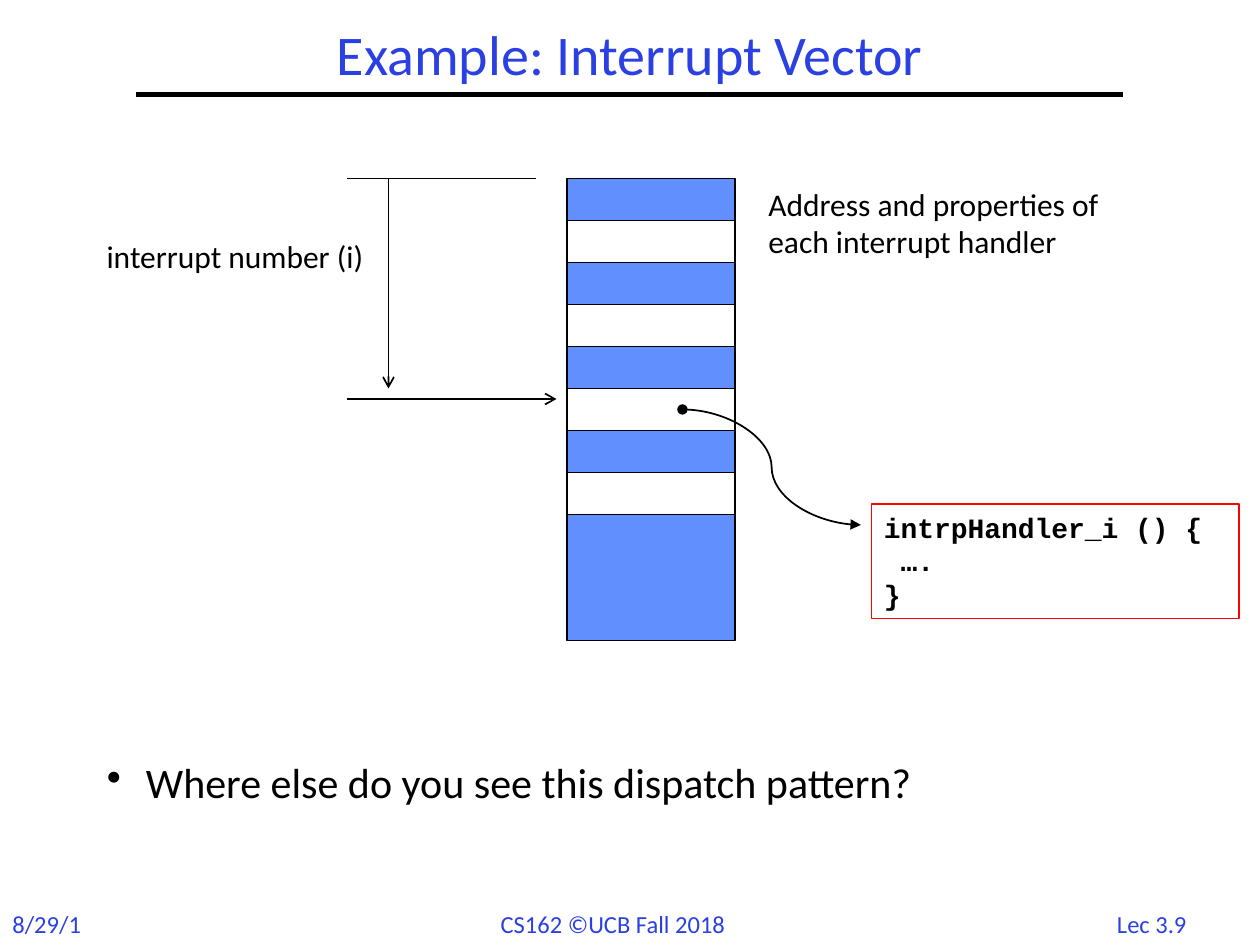
"""Build the interrupt vector slide on a grid of twelve cells to the inch."""
import dataclasses

import lxml.etree
import pptx
import pptx.dml.color
import pptx.enum.shapes
import pptx.enum.text
import pptx.oxml.ns
import pptx.util

ALIGN = pptx.enum.text.PP_ALIGN
ANCHOR = pptx.enum.text.MSO_ANCHOR
CONNECTOR = pptx.enum.shapes.MSO_CONNECTOR


@dataclasses.dataclass(frozen=True)
class Theme:
    """Colours, fonts and type sizes."""
    accent: str = "2A40E2"
    ink: str = "000000"
    entry: str = "618FFD"
    paper: str = "FFFFFF"
    alert: str = "FF0000"
    body_font: str = "Calibri"
    code_font: str = "Courier New"
    title: int = 32
    body: int = 24
    label: int = 18
    code: int = 16
    footer: int = 14


THEME = Theme()


def cells(*counts):
    """Turn grid cells into lengths."""
    return [pptx.util.Inches(count / 12) for count in counts]


def rgb(value):
    """Return a colour from its hex digits."""
    return pptx.dml.color.RGBColor.from_string(value)


def sub(parent, tag, **attrs):
    """Append a drawing element with its attributes."""
    return lxml.etree.SubElement(parent, pptx.oxml.ns.qn(tag), attrs)


def write(sp, lines, size, color=THEME.ink, font=THEME.body_font, bold=False,
          align=ALIGN.LEFT, anchor=ANCHOR.TOP, wrap=True, spacing=None, bullet=None):
    """Write one paragraph for each line into a shape."""
    tf = sp.text_frame
    tf.word_wrap = wrap
    tf.vertical_anchor = anchor
    for i, line in enumerate(lines):
        p = tf.paragraphs[0] if i == 0 else tf.add_paragraph()
        p.alignment = align
        if spacing:
            p.line_spacing = spacing
        if bullet:
            p_pr = p._p.get_or_add_pPr()
            indent = pptx.util.Inches(0.31)
            p_pr.set("marL", str(indent))
            p_pr.set("indent", str(-indent))
            sub(p_pr, "a:buChar", char=bullet)
        r = p.add_run()
        r.text = line
        r.font.name = font
        r.font.size = pptx.util.Pt(size)
        r.font.bold = bold
        r.font.color.rgb = rgb(color)


def add_text(s, box, text, size, **style):
    """Add a text box with one paragraph."""
    sp = s.shapes.add_textbox(*cells(*box))
    write(sp, [text], size, **style)


def add_box(s, box, fill=None, line=THEME.ink, width=1):
    """Add an outlined rectangle."""
    sp = s.shapes.add_shape(pptx.enum.shapes.MSO_SHAPE.RECTANGLE, *cells(*box))
    sp.shadow.inherit = False
    if fill:
        sp.fill.solid()
        sp.fill.fore_color.rgb = rgb(fill)
    else:
        sp.fill.background()
    sp.line.color.rgb = rgb(line)
    sp.line.width = pptx.util.Pt(width)
    return sp


def add_line(s, start, end, width=1, kind=CONNECTOR.STRAIGHT, head=None, tail=None):
    """Add a connector with optional end marks."""
    sp = s.shapes.add_connector(kind, *cells(*start, *end))
    sp.line.color.rgb = rgb(THEME.ink)
    sp.line.width = pptx.util.Pt(width)
    ln = sp.line._get_or_add_ln()
    for tag, mark in (("a:headEnd", head), ("a:tailEnd", tail)):
        if mark:
            sub(ln, tag, type=mark)
    sub(sp._element.spPr, "a:effectLst")


def add_frame(s):
    """Add the title, its rule and the footer."""
    add_text(s, (13, 2, 94, 7), "Example: Interrupt Vector", THEME.title,
             color=THEME.accent, align=ALIGN.CENTER, anchor=ANCHOR.MIDDLE, spacing=0.9)
    add_line(s, (13, 9), (107, 9), width=3)
    for left, width, text in ((0, 9.6, "8/29/18"),
                              (46.5, 24.3, "CS162 ©UCB Fall 2018"),
                              (105.2, 11.2, "Lec 3.9")):
        add_text(s, (left, 86, width, 4), text, THEME.footer,
                 color=THEME.accent, wrap=False)


def add_vector(s, left, top, width, row):
    """Add the vector table with alternating entries."""
    add_box(s, (left, top, width, 11 * row), THEME.entry)
    for i in range(1, 8, 2):
        add_box(s, (left, top + i * row, width, row), THEME.paper)


def add_index(s):
    """Add the index measure and its label."""
    add_line(s, (51, 17), (33, 17))
    add_line(s, (37, 17), (37, 37), tail="arrow")
    add_text(s, (2, 22, 33.8, 4.8), "interrupt number (i)", THEME.label,
             align=ALIGN.RIGHT)
    add_line(s, (33, 38), (53, 38), tail="arrow")


def add_handler(s):
    """Add the handler code and the pointer to it."""
    add_line(s, (65, 39), (82, 50), kind=CONNECTOR.CURVE, head="oval", tail="triangle")
    sp = add_box(s, (83, 48, 35, 10.9), line=THEME.alert, width=0.75)
    write(sp, ["intrpHandler_i () {", " ….", "}"], THEME.code,
          font=THEME.code_font, bold=True)


def main():
    """Build and save the slide."""
    prs = pptx.Presentation()
    prs.slide_width, prs.slide_height = cells(120, 90)
    s = prs.slides.add_slide(prs.slide_layouts[6])
    add_frame(s)
    add_text(s, (9, 72, 100, 11), "Where else do you see this dispatch pattern?",
             THEME.body, spacing=0.9, bullet="•")
    add_vector(s, left=54, top=17, width=16, row=4)
    add_index(s)
    add_handler(s)
    add_text(s, (72, 17, 36, 8.5), "Address and properties of each interrupt handler",
             THEME.label)
    prs.save("out.pptx")


if __name__ == "__main__":
    main()
